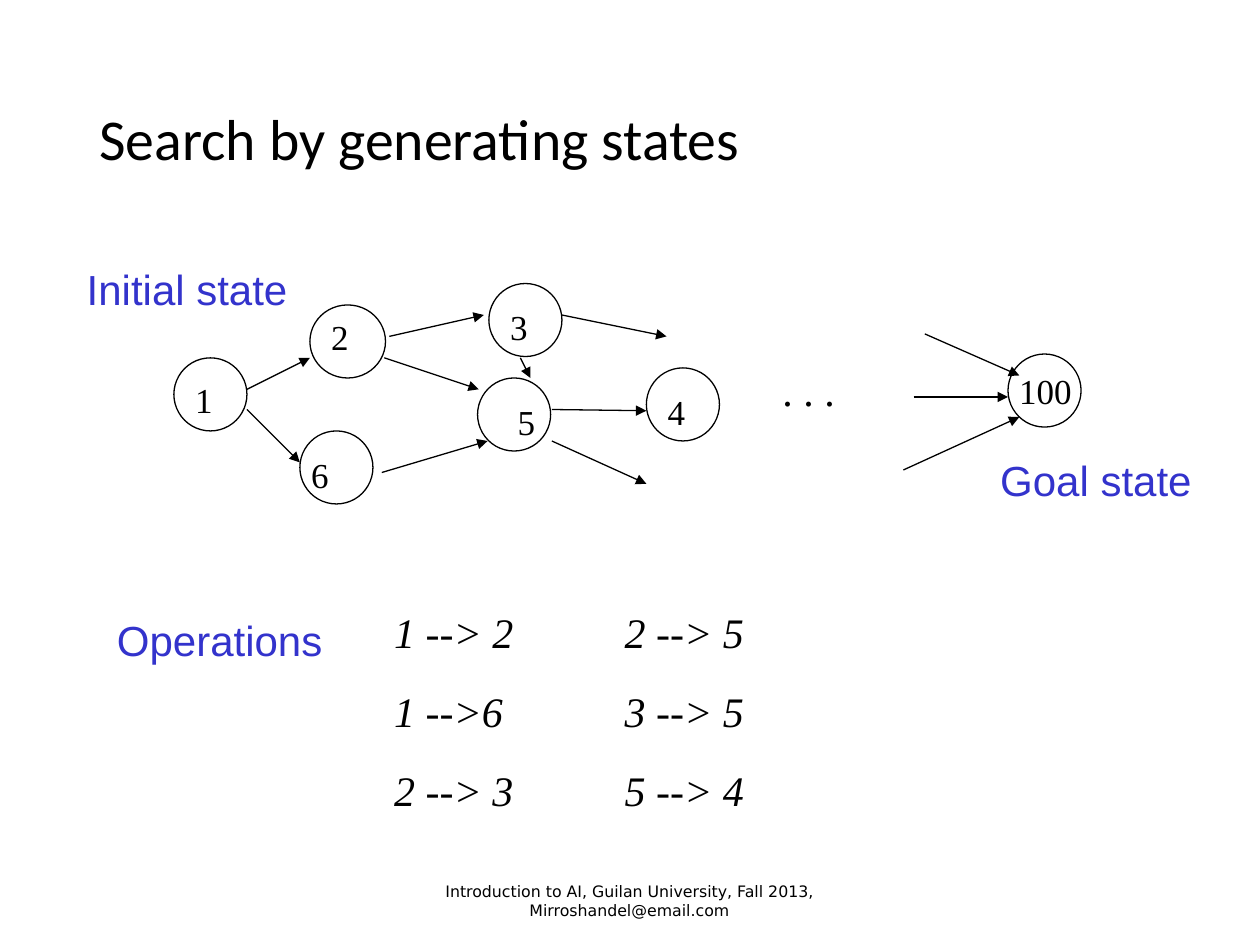
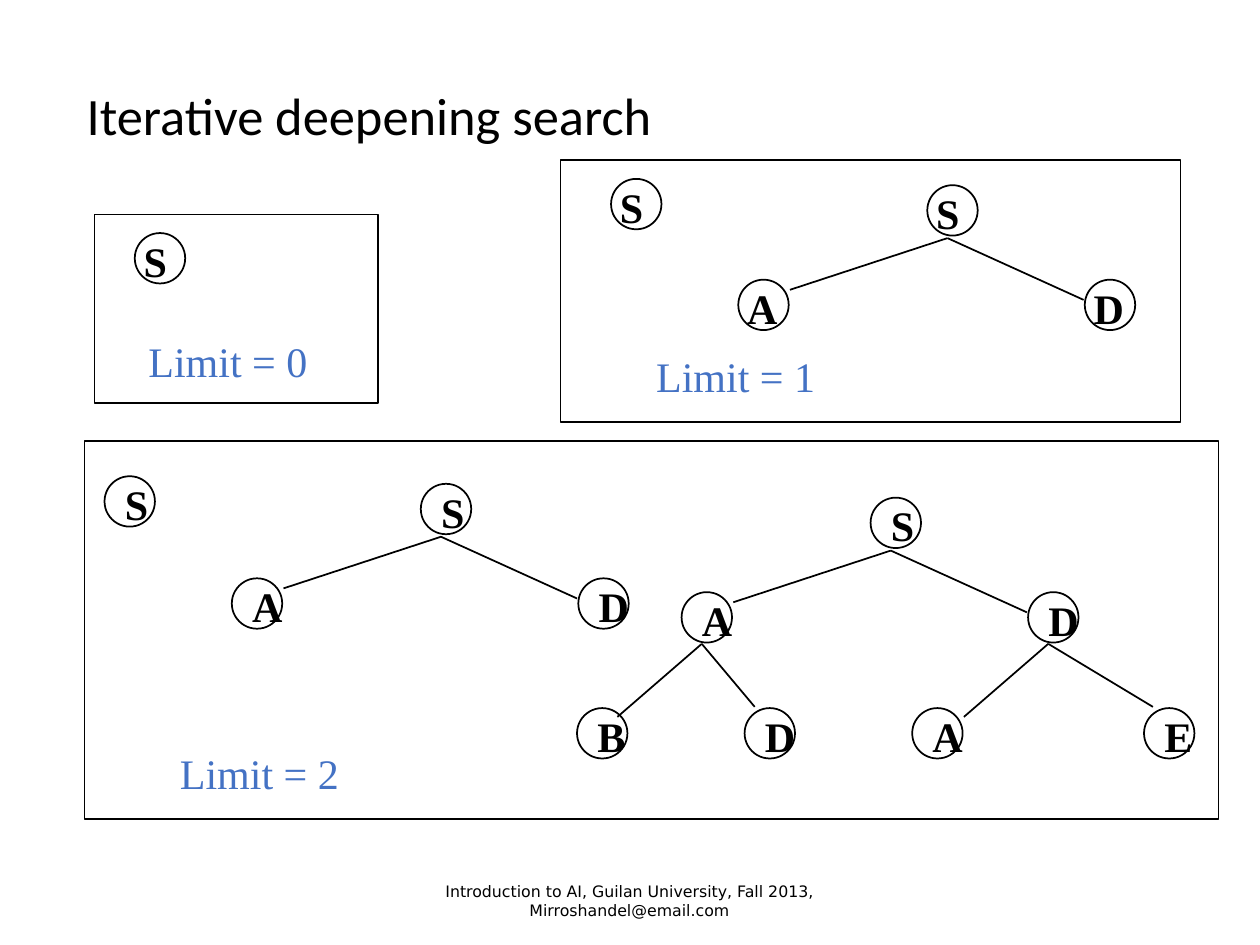
from dataclasses import dataclass

from lxml import etree
from pptx import Presentation
from pptx.dml.color import RGBColor
from pptx.enum.shapes import MSO_CONNECTOR, MSO_SHAPE
from pptx.enum.text import MSO_ANCHOR, PP_ALIGN
from pptx.oxml.ns import qn
from pptx.presentation import Presentation as Deck
from pptx.shapes.connector import Connector
from pptx.slide import Slide
from pptx.util import Emu, Pt

EMU_PER_PX = 9144
PAGE_WIDTH, PAGE_HEIGHT = 1000, 750
BLANK_LAYOUT = 6

BLACK = RGBColor(0x00, 0x00, 0x00)
INDIGO = RGBColor(0x33, 0x33, 0xCC)
BLUE = RGBColor(0x44, 0x72, 0xC4)

ELLIPSE = MSO_SHAPE.OVAL
RECTANGLE = MSO_SHAPE.RECTANGLE
STRAIGHT = MSO_CONNECTOR.STRAIGHT
TOP, MIDDLE = MSO_ANCHOR.TOP, MSO_ANCHOR.MIDDLE
LEFT, CENTER = PP_ALIGN.LEFT, PP_ALIGN.CENTER

SERIF = "Times New Roman"
THIN, MEDIUM = 0.75, 1
STATE_SIZE = 58
TREE_NODE_SIZE = 40
FOOTER = "Introduction to AI, Guilan University, Fall 2013, Mirroshandel@email.com"


@dataclass(frozen=True)
class Area:
    left: int
    top: int
    width: int
    height: int


@dataclass(frozen=True)
class TextStyle:
    font: str
    size: int
    color: RGBColor = BLACK
    bold: bool = False
    italic: bool = False
    align: PP_ALIGN = LEFT
    anchor: MSO_ANCHOR = MIDDLE
    line_spacing: float = 1.0
    space_between: int = 0
    inset_x: int = 10
    inset_y: int = 5


@dataclass(frozen=True)
class State:
    name: str
    left: int
    top: int
    label: Area
    width: int = STATE_SIZE


@dataclass(frozen=True)
class Line:
    start_x: int
    start_y: int
    end_x: int
    end_y: int


@dataclass(frozen=True)
class Branch:
    letter: str
    node_x: int
    node_y: int
    line: Line


@dataclass(frozen=True)
class Root:
    left: int
    top: int
    letter_shift: int


@dataclass(frozen=True)
class Limit:
    depth: int
    frame: Area
    label_left: int
    label_top: int


FOOTER_STYLE = TextStyle("DejaVu Sans", 9, align=CENTER)
CAPTION_STYLE = TextStyle("Arial", 24, INDIGO, anchor=TOP)
STATE_STYLE = TextStyle(SERIF, 20, line_spacing=1.05, inset_y=0)
OPERATION_STYLE = TextStyle(
    SERIF, 24, italic=True, line_spacing=1.05, space_between=15, inset_y=0
)
LIMIT_STYLE = TextStyle(SERIF, 24, BLUE, line_spacing=1.05, inset_y=0)
LETTER_STYLE = TextStyle(
    SERIF, 24, bold=True, anchor=TOP, line_spacing=0.85, inset_x=7, inset_y=3
)

STATES = [
    State("1", 138, 284, Area(145, 300, 49, 33)),
    State("2", 246, 242, Area(253, 250, 49, 33), width=60),
    State("5", 379, 300, Area(401, 317, 34, 33)),
    State("3", 388, 225, Area(395, 242, 49, 33)),
    State("4", 513, 292, Area(520, 309, 49, 33)),
    State("6", 238, 342, Area(237, 359, 49, 33)),
    State("100", 800, 281, Area(799, 293, 67, 33)),
]
TRANSITIONS = [
    Line(196, 309, 246, 284),
    Line(309, 267, 384, 250),
    Line(305, 284, 380, 309),
    Line(413, 284, 421, 300),
    Line(196, 325, 238, 367),
    Line(438, 325, 513, 326),
    Line(446, 250, 529, 267),
    Line(303, 375, 387, 350),
    Line(438, 350, 513, 384),
    Line(734, 265, 809, 298),
    Line(717, 373, 809, 331),
    Line(725, 315, 800, 315),
]
CAPTIONS = {
    "Operations": Area(83, 483, 190, 37),
    "Initial state": Area(59, 204, 190, 37),
    "Goal state": Area(784, 356, 190, 38),
}
OPERATIONS = [
    ["1 --> 2", "1 -->6", "2 --> 3"],
    ["2 --> 5", "3 --> 5", "5 --> 4"],
]

ROOT_BRANCHES = [
    Branch("A", -150, 75, Line(16, 42, -109, 83)),
    Branch("D", 125, 75, Line(16, 42, 124, 91)),
]
LEFT_BRANCHES = [
    Branch("B", -83, 92, Line(16, 41, -51, 99)),
    Branch("D", 50, 92, Line(16, 41, 58, 91)),
]
RIGHT_BRANCHES = [
    Branch("A", -92, 92, Line(16, 41, -51, 99)),
    Branch("E", 92, 92, Line(16, 41, 99, 91)),
]
SINGLE_ROOTS = [Root(107, 185, 0), Root(485, 142, 0), Root(83, 378, 9)]
TREE_ROOTS = [Root(736, 147, 0), Root(334, 384, 9), Root(691, 395, 9)]
LIMITS = [
    Limit(0, Area(75, 170, 225, 150), 108, 265),
    Limit(1, Area(445, 127, 492, 208), 511, 277),
    Limit(2, Area(67, 350, 900, 300), 133, 592),
]


def px(length: int) -> Emu:
    return Emu(length * EMU_PER_PX)


def add_text(page: Slide, lines: list[str], area: Area, style: TextStyle) -> None:
    box = page.shapes.add_textbox(
        px(area.left), px(area.top), px(area.width), px(area.height)
    )
    frame = box.text_frame
    frame.word_wrap = True
    frame.vertical_anchor = style.anchor
    frame.margin_left = frame.margin_right = px(style.inset_x)
    frame.margin_top = frame.margin_bottom = px(style.inset_y)
    for index, line in enumerate(lines):
        para = frame.add_paragraph() if index else frame.paragraphs[0]
        para.alignment = style.align
        para.line_spacing = style.line_spacing
        if index:
            para.space_before = Pt(style.space_between)
        span = para.add_run()
        span.text = line
        span.font.name = style.font
        span.font.size = Pt(style.size)
        span.font.bold = style.bold
        span.font.italic = style.italic
        span.font.color.rgb = style.color


def add_outline(page: Slide, kind: MSO_SHAPE, area: Area, weight: float) -> None:
    shape = page.shapes.add_shape(
        kind, px(area.left), px(area.top), px(area.width), px(area.height)
    )
    shape.shadow.inherit = False
    shape.fill.background()
    shape.line.color.rgb = BLACK
    shape.line.width = Pt(weight)


def add_line(page: Slide, line: Line, weight: float) -> Connector:
    connector = page.shapes.add_connector(
        STRAIGHT, px(line.start_x), px(line.start_y), px(line.end_x), px(line.end_y)
    )
    connector.line.color.rgb = BLACK
    connector.line.width = Pt(weight)
    etree.SubElement(connector._element.spPr, qn("a:effectLst"))
    return connector


def add_arrow(page: Slide, line: Line) -> None:
    connector = add_line(page, line, THIN)
    outline = connector._element.spPr.find(qn("a:ln"))
    etree.SubElement(outline, qn("a:tailEnd"), type="triangle")


def add_page(deck: Deck, title: str, title_area: Area, title_size: int) -> Slide:
    page = deck.slides.add_slide(deck.slide_layouts[BLANK_LAYOUT])
    title_style = TextStyle("Calibri", title_size, line_spacing=0.9)
    add_text(page, [title], title_area, title_style)
    add_text(page, [FOOTER], Area(331, 695, 337, 40), FOOTER_STYLE)
    return page


def add_tree_node(page: Slide, letter: str, node: Root) -> None:
    add_outline(
        page, ELLIPSE, Area(node.left, node.top, TREE_NODE_SIZE, TREE_NODE_SIZE), MEDIUM
    )
    letter_area = Area(node.left + node.letter_shift, node.top + 5, 38, 40)
    add_text(page, [letter], letter_area, LETTER_STYLE)


def add_branches(page: Slide, parent: Root, branches: list[Branch]) -> list[Root]:
    children = []
    for branch in branches:
        child = Root(
            parent.left + branch.node_x, parent.top + branch.node_y, parent.letter_shift
        )
        line = Line(
            parent.left + branch.line.start_x,
            parent.top + branch.line.start_y,
            parent.left + branch.line.end_x,
            parent.top + branch.line.end_y,
        )
        add_line(page, line, MEDIUM)
        add_tree_node(page, branch.letter, child)
        children.append(child)
    return children


def build_state_search(deck: Deck) -> None:
    page = add_page(deck, "Search by generating states", Area(69, 40, 863, 145), 33)
    for state in STATES:
        add_outline(
            page, ELLIPSE, Area(state.left, state.top, state.width, STATE_SIZE), THIN
        )
    for transition in TRANSITIONS:
        add_arrow(page, transition)
    for state in STATES:
        add_text(page, [state.name], state.label, STATE_STYLE)
    for caption, area in CAPTIONS.items():
        add_text(page, [caption], area, CAPTION_STYLE)
    for column, operations in enumerate(OPERATIONS):
        add_text(page, operations, Area(303 + column * 183, 482, 120, 162), OPERATION_STYLE)
    add_text(page, [". . ."], Area(612, 288, 70, 40), OPERATION_STYLE)


def build_iterative_deepening(deck: Deck) -> None:
    page = add_page(deck, "Iterative deepening search", Area(59, 68, 784, 52), 30)
    for root in SINGLE_ROOTS + TREE_ROOTS:
        add_tree_node(page, "S", root)
    for root in TREE_ROOTS:
        left_child, right_child = add_branches(page, root, ROOT_BRANCHES)
    add_branches(page, left_child, LEFT_BRANCHES)
    add_branches(page, right_child, RIGHT_BRANCHES)
    for limit in LIMITS:
        add_outline(page, RECTANGLE, limit.frame, THIN)
        label_area = Area(limit.label_left, limit.label_top, 150, 40)
        add_text(page, [f"Limit = {limit.depth}"], label_area, LIMIT_STYLE)


def main() -> None:
    deck = Presentation()
    deck.slide_width = px(PAGE_WIDTH)
    deck.slide_height = px(PAGE_HEIGHT)
    build_state_search(deck)
    build_iterative_deepening(deck)
    deck.save("out.pptx")


if __name__ == "__main__":
    main()
